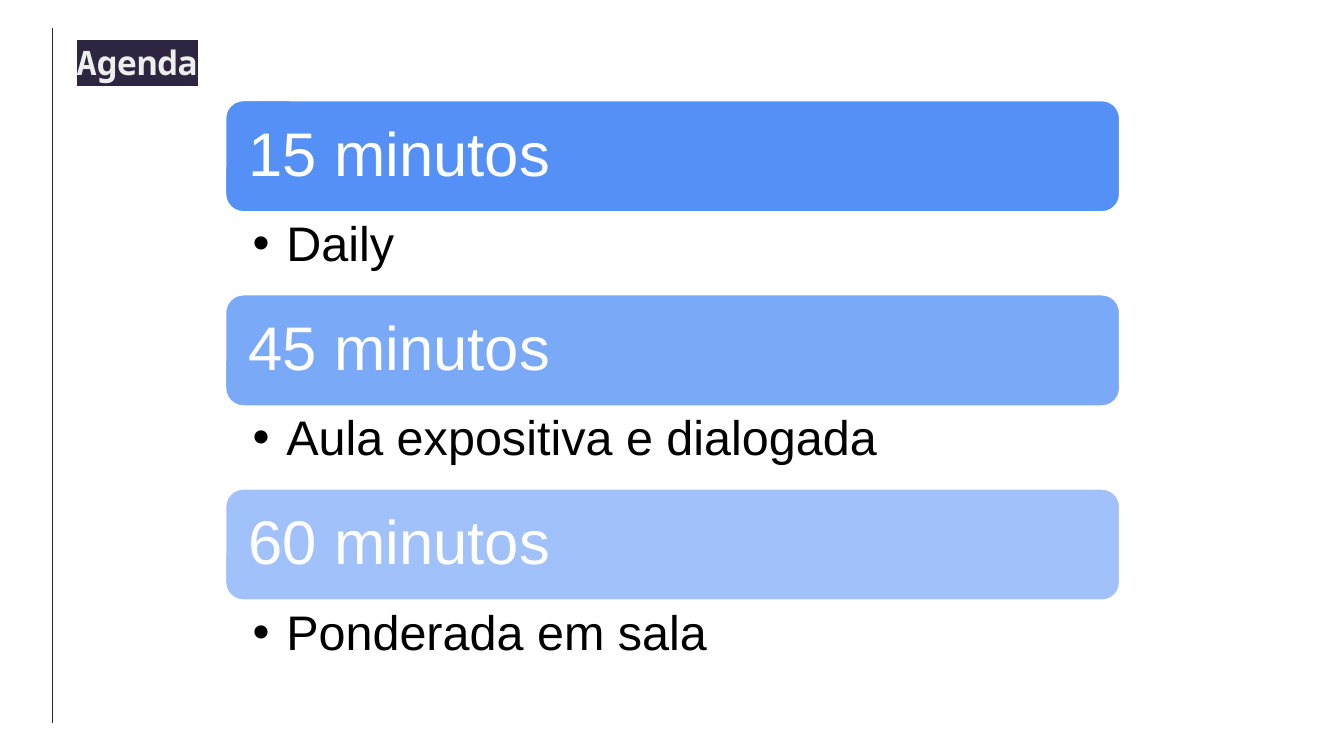
from dataclasses import dataclass

from lxml.etree import SubElement
from pptx import Presentation
from pptx.dml.color import RGBColor
from pptx.enum.shapes import MSO_CONNECTOR, MSO_SHAPE
from pptx.enum.text import MSO_ANCHOR, MSO_AUTO_SIZE, PP_ALIGN
from pptx.oxml.ns import qn
from pptx.util import Pt

EMU_PER_PX = 4572
AGENDA = [
    ("15 minutos", "Daily", 90),
    ("45 minutos", "Aula expositiva e dialogada", 70),
    ("60 minutos", "Ponderada em sala", 50),
]
LEFT, TOP, WIDTH = 334, 148, 1334
BAND_HEIGHT, LIST_HEIGHT = 169, 120


@dataclass(frozen=True)
class Theme:
    """Colours, fonts and type sizes of the slide."""

    dark: str = "2E2640"
    pale: str = "EEEEEE"
    blue: str = "4285F4"
    white: str = "FFFFFF"
    black: str = "000000"
    title_font: str = "Noto Sans Mono"
    body_font: str = "Arial"
    title_size: int = 18
    band_size: int = 33
    list_size: int = 26


THEME = Theme()


def px(length):
    """Turn px into EMU."""
    return length * EMU_PER_PX


def place(shape, left, top, width, height):
    """Move and size a shape."""
    shape.left, shape.top = px(left), px(top)
    shape.width, shape.height = px(width), px(height)


def add_bullet(paragraph, color, indent):
    """Give a paragraph a hanging round bullet."""
    properties = paragraph._p.get_or_add_pPr()
    properties.set("marL", str(px(indent)))
    properties.set("indent", str(-px(indent)))
    bullet_color = SubElement(properties, qn("a:buClr"))
    SubElement(bullet_color, qn("a:srgbClr"), val=color)
    SubElement(properties, qn("a:buChar"), char="•")


def add_highlight(run, color):
    """Mark a run with a background colour."""
    properties = run._r.get_or_add_rPr()
    highlight = SubElement(properties, qn("a:highlight"))
    SubElement(highlight, qn("a:srgbClr"), val=color)
    properties.find(qn("a:solidFill")).addnext(highlight)


def write_text(shape, text, *, size, color, insets, font=THEME.body_font,
               bold=False, anchor=MSO_ANCHOR.TOP, spacing=0.9,
               bullet_indent=None, highlight=None):
    """Write one formatted paragraph into a shape."""
    frame = shape.text_frame
    frame.word_wrap = True
    frame.auto_size = MSO_AUTO_SIZE.NONE
    frame.vertical_anchor = anchor
    (frame.margin_left, frame.margin_top,
     frame.margin_right, frame.margin_bottom) = map(px, insets)
    paragraph = frame.paragraphs[0]
    if bullet_indent:
        add_bullet(paragraph, color, bullet_indent)
    paragraph.alignment = PP_ALIGN.LEFT
    paragraph.line_spacing = spacing
    paragraph.space_before = Pt(0)
    run = paragraph.add_run()
    run.text = text
    run.font.size = Pt(size)
    run.font.bold = bold
    run.font.color.rgb = RGBColor.from_string(color)
    if highlight:
        add_highlight(run, highlight)
    run.font.name = font


def add_title(slide, text):
    """Fill the title placeholder."""
    title = slide.shapes.title
    place(title, 114, 53, 1324, 88)
    write_text(title, text, size=THEME.title_size, color=THEME.pale,
               insets=(0, 10, 10, 10), font=THEME.title_font, bold=True,
               spacing=1.0, highlight=THEME.dark)


def add_rule(slide):
    """Draw the vertical rule at the left edge."""
    rule = slide.shapes.add_connector(
        MSO_CONNECTOR.STRAIGHT, px(78), px(42), px(78), px(1076))
    rule.line.color.rgb = RGBColor.from_string(THEME.dark)
    rule.line.width = Pt(0.75)
    SubElement(rule._element.spPr, qn("a:effectLst"))


def add_band(slide, text, top, opacity):
    """Draw a rounded band with its duration."""
    band = slide.shapes.add_shape(
        MSO_SHAPE.ROUNDED_RECTANGLE,
        px(LEFT), px(top), px(WIDTH), px(BAND_HEIGHT))
    band.shadow.inherit = False
    band.fill.solid()
    band.fill.fore_color.rgb = RGBColor.from_string(THEME.blue)
    fill_color = band._element.spPr.find(qn("a:solidFill"))[0]
    SubElement(fill_color, qn("a:alpha"), val=str(opacity * 1000))
    band.line.color.rgb = RGBColor.from_string(THEME.white)
    band.line.width = Pt(2)
    write_text(band, text, size=THEME.band_size, color=THEME.white,
               insets=(28, 28, 28, 28), anchor=MSO_ANCHOR.MIDDLE)


def fill_list(placeholder, text, top):
    """Put an activity into a body placeholder."""
    place(placeholder, LEFT, top, WIDTH, LIST_HEIGHT)
    write_text(placeholder, text, size=THEME.list_size, color=THEME.black,
               insets=(42, 10, 52, 10), bullet_indent=50)


def main():
    """Build and save the agenda slide."""
    presentation = Presentation()
    presentation.slide_width, presentation.slide_height = px(2000), px(1125)
    comparison_layout = presentation.slide_layouts[4]
    slide = presentation.slides.add_slide(comparison_layout)
    add_title(slide, "Agenda")
    add_rule(slide)
    bodies = list(slide.placeholders)[1:]
    for index, (duration, activity, opacity) in enumerate(AGENDA):
        top = TOP + index * (BAND_HEIGHT + LIST_HEIGHT)
        add_band(slide, duration, top, opacity)
        fill_list(bodies[index], activity, top + BAND_HEIGHT)
    for unused in bodies[len(AGENDA):]:
        unused._element.getparent().remove(unused._element)
    presentation.save("out.pptx")


if __name__ == "__main__":
    main()
